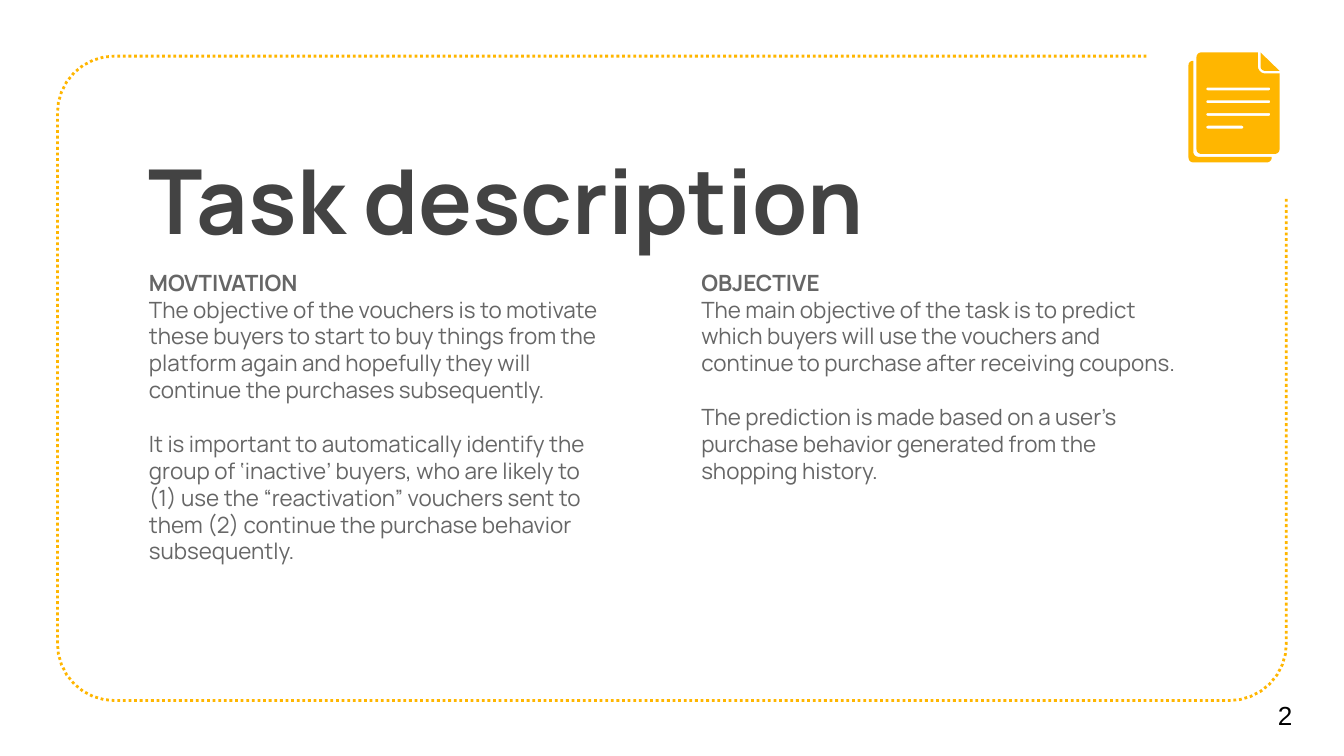
from math import hypot

from pptx import Presentation
from pptx.dml.color import RGBColor
from pptx.enum.dml import MSO_LINE_DASH_STYLE as Dash
from pptx.enum.text import MSO_ANCHOR as Anchor
from pptx.util import Pt

AMBER = RGBColor(0xFF, 0xB6, 0x00)
DARK = RGBColor(0x43, 0x43, 0x43)
GREY = RGBColor(0x66, 0x66, 0x66)
BLACK = RGBColor(0, 0, 0)

# Content
TITLE = "Task description"
# Each column: left, width, heading, (gap before, paragraph) pairs
BODY_TOP, BODY_HEIGHT, LINE = 136.8, 170, 14.4
COLUMNS = [
    (72.7, 265, "MOVTIVATION", [
        (0, "The objective of the vouchers is to motivate these buyers to start to buy "
            "things from the platform again and hopefully they will continue the "
            "purchases subsequently."),
        (LINE, "It is important to automatically identify the group of ‘inactive’ "
               "buyers, who are likely to"),
        (0, "(1) use the “reactivation” vouchers sent to them (2) continue the "
            "purchase behavior subsequently."),
    ]),
    (368.6, 279.4, "OBJECTIVE", [
        (0, "The main objective of the task is to predict which buyers will use the "
            "vouchers and continue to purchase after receiving coupons."),
        (LINE, "The prediction is made based on a user’s purchase behavior generated "
               "from the shopping history."),
    ]),
]
PAGE = "2"

# Outlines: corners as (x, y, radius)
FRAME = [(614.2, 30.1, 0), (30.8, 30.1, 30.3), (30.8, 375.3, 30.3),
         (689.1, 375.3, 30.3), (689.1, 105.3, 0)]
BACK_PAGE = [(639.3, 32.6, 0), (636.7, 32.6, 2.4), (636.7, 87, 2.6),
             (681.3, 87, 2.6), (681.3, 84, 0), (639.3, 84, 2.6)]
FRONT_PAGE = [(641, 28.1, 2.6), (641, 82.5, 2.6), (685.5, 82.5, 2.6),
              (685.5, 39.4, 0), (673.9, 39.4, 4), (673.9, 28.1, 0)]
FOLD = [(675.3, 28.1, 0), (675.3, 38, 2.5), (685.5, 38, 0)]
RULE_LEFT, RULE_TOP, RULE_STEP, RULE_THICK = 646.3, 46.9, 6.83, 1.5
RULE_WIDTHS = [34.2, 34.2, 34.2, 19.8]


def rounded(corners, steps=8):
    """Replace each corner that has a radius by points along a curve."""
    points = []
    for i, (x, y, radius) in enumerate(corners):
        if not radius:
            points.append((x, y))
            continue
        ends = []
        for nx, ny, _ in (corners[i - 1], corners[(i + 1) % len(corners)]):
            t = radius / hypot(nx - x, ny - y)
            ends.append((x + (nx - x) * t, y + (ny - y) * t))
        (ax, ay), (bx, by) = ends
        # Rational quadratic curve: an exact quarter circle at a right angle
        for k in range(steps + 1):
            t = k / steps
            a, c, b = (1 - t) ** 2, 2 ** 0.5 * t * (1 - t), t * t
            points.append(((a * ax + c * x + b * bx) / (a + b + c),
                           (a * ay + c * y + b * by) / (a + b + c)))
    return [(Pt(px), Pt(py)) for px, py in points]


def add_outline(slide, *outlines, close=True):
    first, *holes = [rounded(o) for o in outlines]
    builder = slide.shapes.build_freeform(*first[0])
    builder.add_line_segments(first[1:], close=close)
    for hole in holes:
        builder.move_to(*hole[0])
        builder.add_line_segments(hole[1:], close=True)
    sp = builder.convert_to_shape()
    sp.shadow.inherit = False
    if close:
        sp.fill.solid()
        sp.fill.fore_color.rgb = AMBER
        sp.line.fill.background()
    else:
        sp.fill.background()
        sp.line.color.rgb = AMBER
        sp.line.width = Pt(1.5)
        sp.line.dash_style = Dash.ROUND_DOT
    return sp


def add_text(slide, box, paragraphs, size, color, font="Manrope", anchor=Anchor.TOP):
    """Paragraphs are (gap before, text, bold)."""
    tf = slide.shapes.add_textbox(*map(Pt, box)).text_frame
    tf.word_wrap = True
    tf.vertical_anchor = anchor
    tf.margin_left = tf.margin_right = tf.margin_top = tf.margin_bottom = Pt(7.2)
    for i, (gap, text, bold) in enumerate(paragraphs):
        p = tf.add_paragraph() if i else tf.paragraphs[0]
        p.text = text
        p.space_before = Pt(gap)
        f = p.runs[0].font
        f.name, f.size, f.bold = font, Pt(size), bold
        f.color.rgb = color


prs = Presentation()
prs.slide_width, prs.slide_height = Pt(720), Pt(405)
s = prs.slides.add_slide(prs.slide_layouts[6])

# Dotted frame
add_outline(s, FRAME, close=False)

# Title and columns
add_text(s, (72.7, 70.6, 540.7, 67.7), [(0, TITLE, True)], 48, DARK)
for left, width, heading, paragraphs in COLUMNS:
    add_text(s, (left, BODY_TOP, width, BODY_HEIGHT),
             [(0, heading, True)] + [(gap, text, False) for gap, text in paragraphs],
             12, GREY)

# Page number
add_text(s, (677.5, 361.6, 42.5, 43), [(0, PAGE, False)], 14, BLACK, "Arial", Anchor.MIDDLE)

# Document icon, with the ruled lines cut out of the front page
rules = []
for i, width in enumerate(RULE_WIDTHS):
    x, y, r = RULE_LEFT, RULE_TOP + i * RULE_STEP, RULE_THICK / 2
    rules.append([(x, y, r), (x + width, y, r),
                  (x + width, y + RULE_THICK, r), (x, y + RULE_THICK, r)])
add_outline(s, BACK_PAGE)
add_outline(s, FRONT_PAGE, *rules)
add_outline(s, FOLD)

prs.save("out.pptx")
